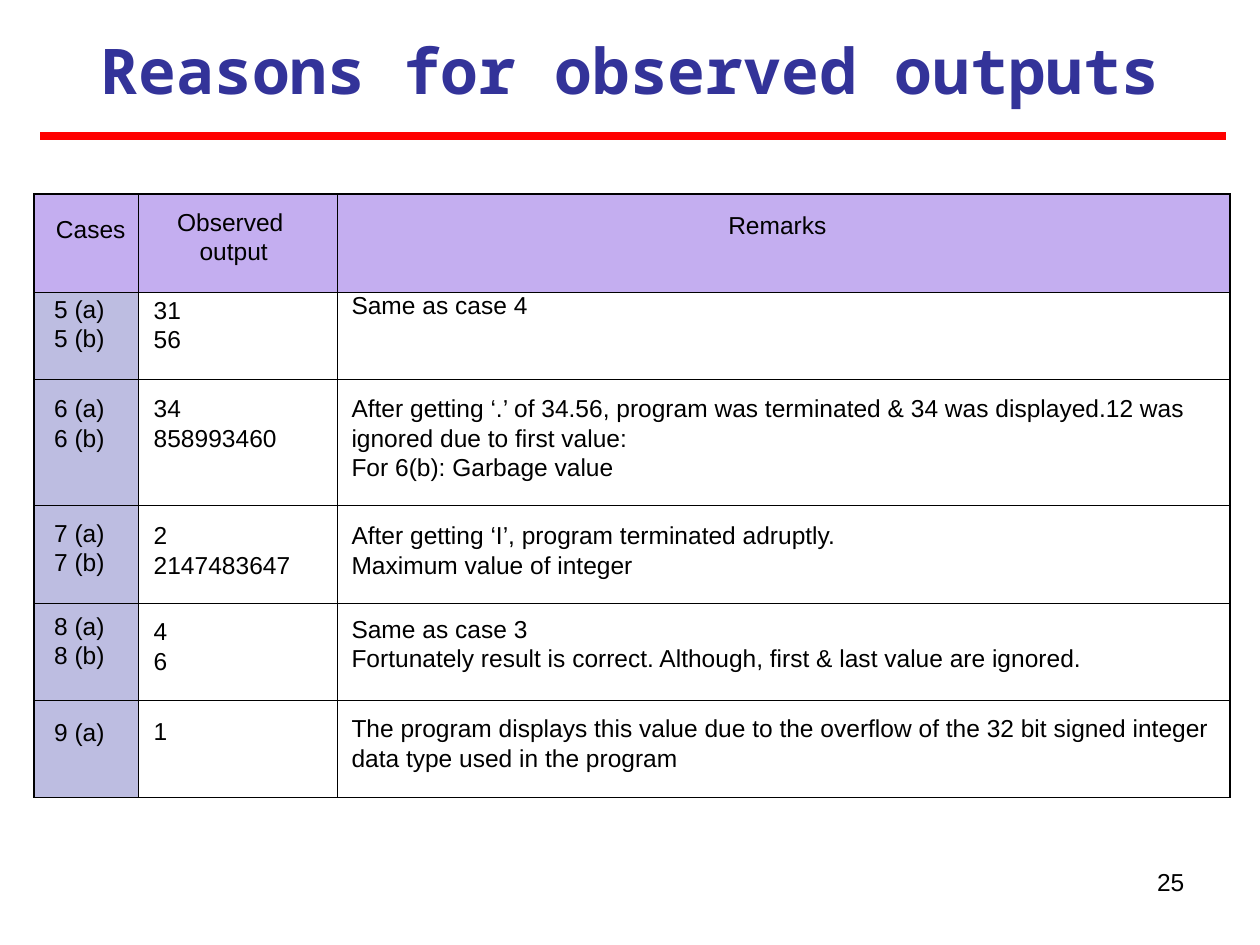
from lxml.etree import SubElement
from pptx import Presentation
from pptx.dml.color import RGBColor
from pptx.enum.shapes import MSO_CONNECTOR
from pptx.enum.text import MSO_ANCHOR, MSO_AUTO_SIZE, PP_ALIGN
from pptx.oxml.ns import qn
from pptx.util import Inches, Pt

COLUMN_WIDTHS = [0.83, 1.58, 7.08]
ROW_HEIGHTS = [0.78, 0.69, 1, 0.78, 0.77, 0.77]
TABLE_LEFT, TABLE_TOP = 0.27, 1.54
HEADER_FILL, CASE_FILL = "C4AEF0", "BDBDE1"
OUTER_LINE, INNER_LINE = 1.08, 0.45
LINE_HEIGHT = 0.23
BODY_FONT = {"name": "Arial", "size": Pt(14), "bold": False, "color": "000000"}
TITLE_FONT = {"name": "Noto Sans Mono", "size": Pt(36), "bold": True, "color": "333399"}

# Header labels: left, top, width, lines
HEADERS = [
    (0.43, 1.7, 0.58, ["Cases"]),
    (1.21, 1.64, 1.29, ["Observed ", "output"]),
    (2.83, 1.67, 6.68, ["Remarks"]),
]
# Left and width of the labels in each body column
BODY_COLUMNS = [(0.43, 0.5), (1.22, 1.39), (2.79, 6.83)]
# Tops of the three labels in a row, then their lines
BODY_ROWS = [
    ((2.33, 2.34, 2.3), ["5 (a)", "5 (b)"], ["31", "56"], ["Same as case 4"]),
    ((3.12, 3.12, 3.12), ["6 (a)", "6 (b)"], ["34", "858993460"],
     ["After getting ‘.’ of 34.56, program was terminated & 34 was displayed.12 was "
      "ignored due to first value:", "For 6(b): Garbage value"]),
    ((4.11, 4.13, 4.13), ["7 (a)", "7 (b)"], ["2", "2147483647"],
     ["After getting ‘I’, program terminated adruptly.", "Maximum value of integer"]),
    ((4.85, 4.89, 4.87), ["8 (a)", "8 (b)"], ["4", "6"],
     ["Same as case 3",
      "Fortunately result is correct. Although, first & last value are ignored."]),
    ((5.69, 5.68, 5.66), ["9 (a)"], ["1"],
     ["The program displays this value due to the overflow of the 32 bit signed integer "
      "data type used in the program"]),
]


def rgb(color):
    return RGBColor.from_string(color)


def write_text(shape, lines, font_format, align):
    frame = shape.text_frame
    frame_format = {"margin_left": 0, "margin_top": 0, "margin_right": 0, "margin_bottom": 0,
                    "word_wrap": True, "auto_size": MSO_AUTO_SIZE.NONE,
                    "vertical_anchor": MSO_ANCHOR.TOP}
    for name, value in frame_format.items():
        setattr(frame, name, value)
    frame.text = "\n".join(lines)
    for paragraph in frame.paragraphs:
        paragraph.alignment = align
        font = paragraph.runs[0].font
        for name, value in font_format.items():
            if name == "color":
                font.color.rgb = rgb(value)
            else:
                setattr(font, name, value)


def add_label(slide, left, top, width, lines, align=PP_ALIGN.LEFT):
    box = slide.shapes.add_textbox(Inches(left), Inches(top), Inches(width),
                                   Inches(LINE_HEIGHT * len(lines)))
    write_text(box, lines, BODY_FONT, align)


def set_borders(cell, widths):
    """Draw black borders; widths are points for left, right, top, bottom."""
    properties = cell._tc.get_or_add_tcPr()
    for position, (side, width) in enumerate(zip(("lnL", "lnR", "lnT", "lnB"), widths)):
        line = SubElement(properties, qn(f"a:{side}"), w=str(int(Pt(width))))
        fill = SubElement(line, qn("a:solidFill"))
        SubElement(fill, qn("a:srgbClr"), val="000000")
        properties.insert(position, line)


def add_grid(slide):
    row_count, column_count = len(ROW_HEIGHTS), len(COLUMN_WIDTHS)
    table = slide.shapes.add_table(
        row_count, column_count, Inches(TABLE_LEFT), Inches(TABLE_TOP),
        Inches(sum(COLUMN_WIDTHS)), Inches(sum(ROW_HEIGHTS))).table
    table.first_row = table.horz_banding = False
    for column, width in zip(table.columns, COLUMN_WIDTHS):
        column.width = Inches(width)
    for row_index, (row, height) in enumerate(zip(table.rows, ROW_HEIGHTS)):
        row.height = Inches(height)
        for column_index, cell in enumerate(row.cells):
            if row_index and column_index:
                cell.fill.background()
            else:
                cell.fill.solid()
                cell.fill.fore_color.rgb = rgb(CASE_FILL if row_index else HEADER_FILL)
            on_edge = (column_index == 0, column_index == column_count - 1,
                       row_index == 0, row_index == row_count - 1)
            set_borders(cell, [OUTER_LINE if edge else INNER_LINE for edge in on_edge])


def add_labels(slide):
    for left, top, width, lines in HEADERS:
        add_label(slide, left, top, width, lines, PP_ALIGN.CENTER)
    for tops, *cells in BODY_ROWS:
        for (left, width), top, lines in zip(BODY_COLUMNS, tops, cells):
            add_label(slide, left, top, width, lines)


def add_title(slide, text):
    title = slide.shapes.title
    place = {"left": 0.25, "top": 0.25, "width": 9.5, "height": 0.6}
    for name, value in place.items():
        setattr(title, name, Inches(value))
    write_text(title, [text], TITLE_FONT, PP_ALIGN.CENTER)


def add_rule(slide):
    rule = slide.shapes.add_connector(MSO_CONNECTOR.STRAIGHT, Inches(0.32), Inches(1.08),
                                      Inches(9.73), Inches(1.08))
    rule.line.color.rgb = rgb("FF0000")
    rule.line.width = Pt(4.5)
    SubElement(rule._element.spPr, qn("a:effectLst"))


def main():
    presentation = Presentation()
    presentation.slide_width, presentation.slide_height = Inches(10), Inches(7.5)
    slide = presentation.slides.add_slide(presentation.slide_layouts[5])
    add_title(slide, "Reasons for observed outputs")
    add_rule(slide)
    add_grid(slide)
    add_labels(slide)
    add_label(slide, 7.27, 6.88, 2.13, ["25"], PP_ALIGN.RIGHT)
    presentation.save("out.pptx")


if __name__ == "__main__":
    main()
